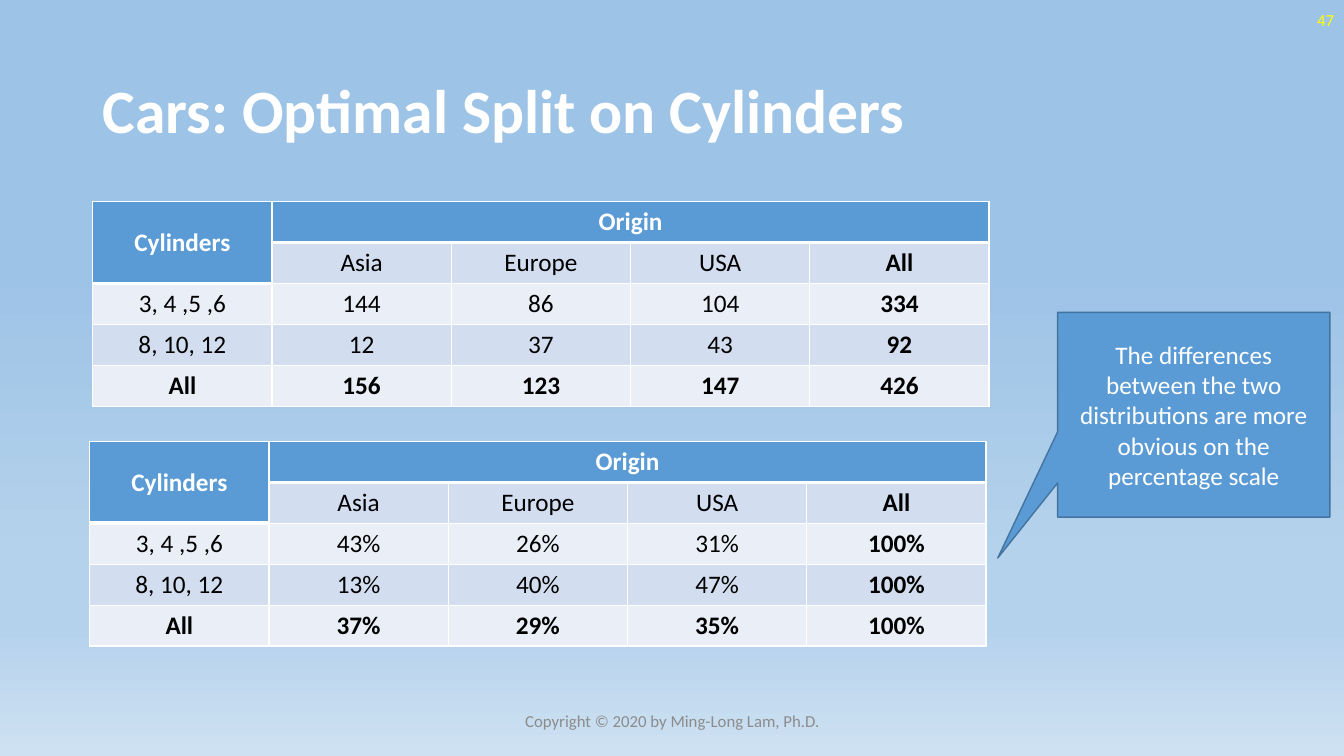
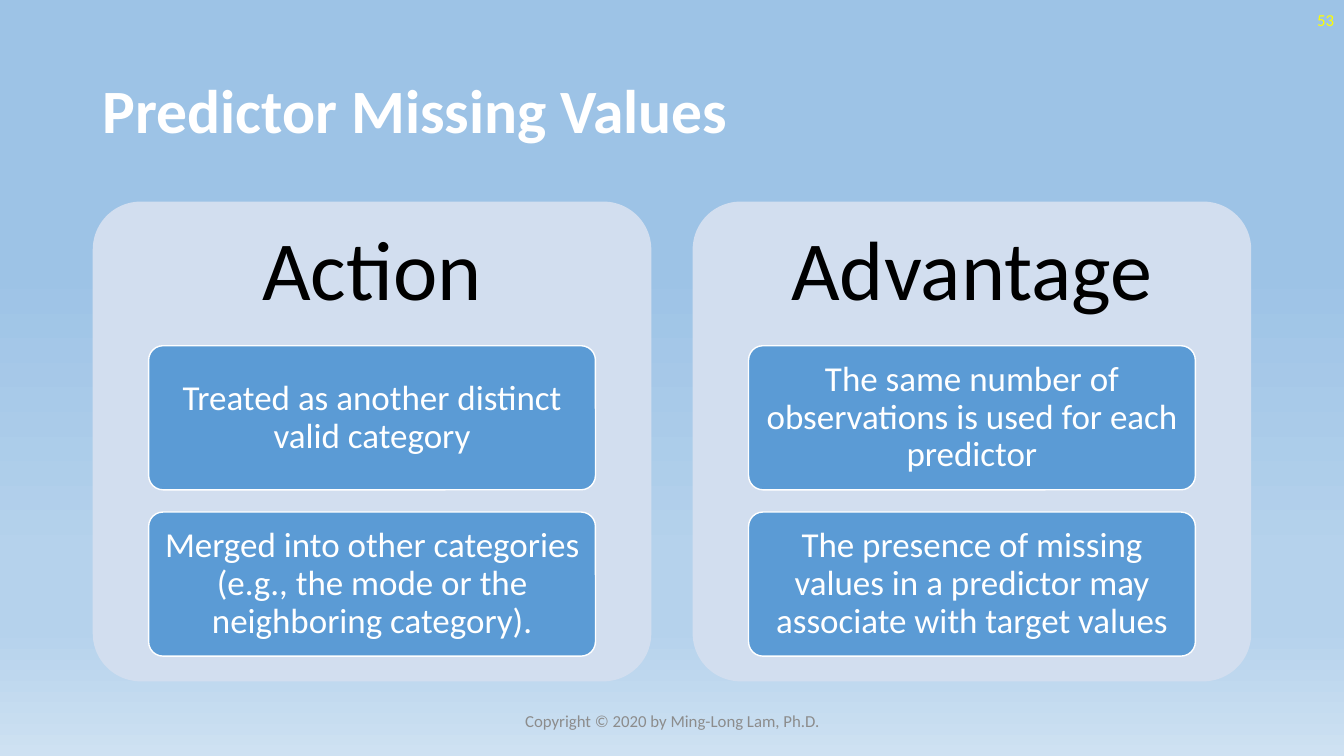
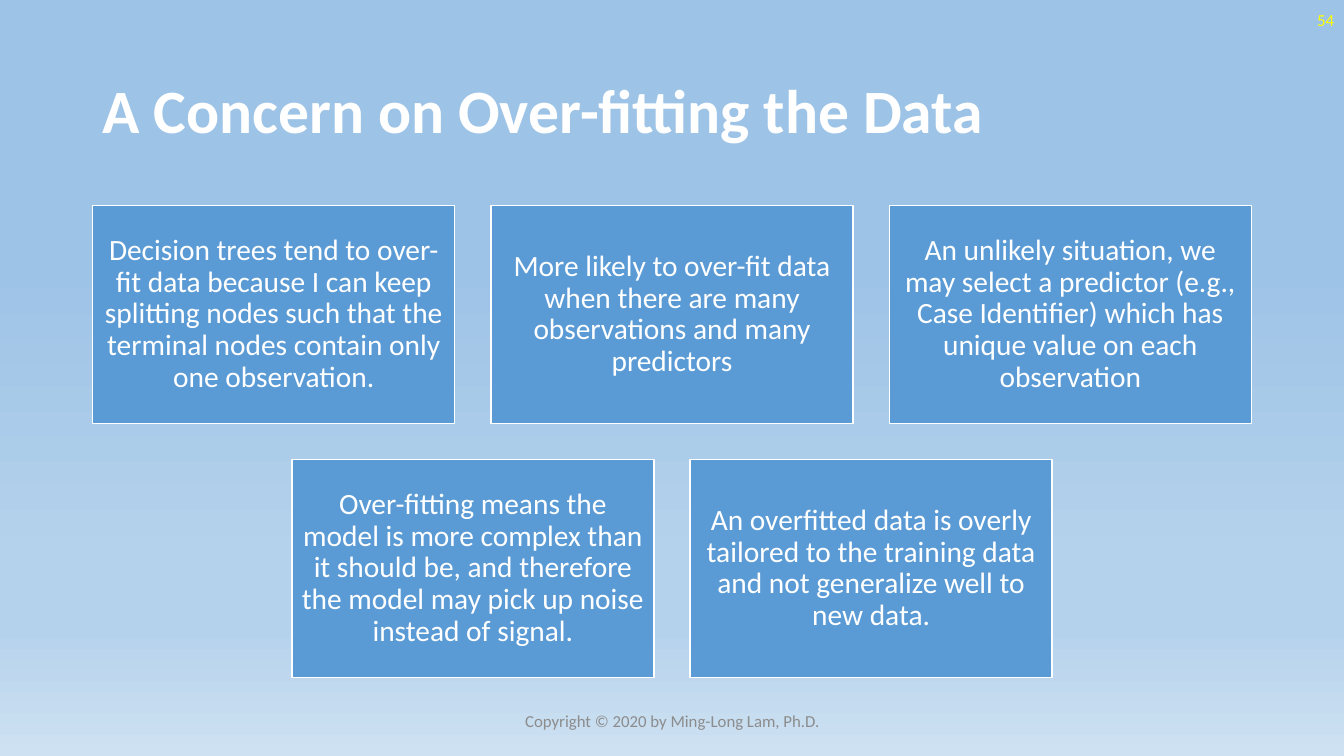
from lxml.etree import SubElement
from pptx import Presentation
from pptx.dml.color import RGBColor
from pptx.enum.shapes import MSO_SHAPE as Preset
from pptx.enum.text import MSO_ANCHOR as Anchor, PP_ALIGN as Align
from pptx.oxml import parse_xml
from pptx.oxml.ns import nsdecls, qn
from pptx.util import Inches, Pt

SLIDE_WIDTH, SLIDE_HEIGHT = 13.33, 7.5
FONT = "Calibri"
WHITE, BLACK, GREY, YELLOW = "FFFFFF", "000000", "8C8C8C", "FFFF00"
BLUE, DARK_BLUE = "5B9BD5", "43739E"
PALE_BLUE, PALEST_BLUE = "D2DEEF", "EAEFF7"
BACKGROUND_STOPS = [(35, "9DC3E6"), (74, "B5D2EC"), (83, "B5D2EC"), (100, "CEE1F2")]
FOOTER = "Copyright © 2020 by Ming-Long Lam, Ph.D."
DEFAULT_INSETS = (0.1, 0.05)
LEFT_MARGIN = 0.92

COUNTS = [
    ("3, 4 ,5 ,6", "144", "86", "104", "334"),
    ("8, 10, 12", "12", "37", "43", "92"),
    ("All", "156", "123", "147", "426"),
]
PERCENTAGES = [
    ("3, 4 ,5 ,6", "43%", "26%", "31%", "100%"),
    ("8, 10, 12", "13%", "40%", "47%", "100%"),
    ("All", "37%", "29%", "35%", "100%"),
]
PANELS = [
    ("Action", [
        "Treated as another distinct valid category",
        "Merged into other categories (e.g., the mode or the neighboring category).",
    ]),
    ("Advantage", [
        "The same number of observations is used for each predictor",
        "The presence of missing values in a predictor may associate with target values",
    ]),
]
CONCERN_ROWS = [
    [
        "Decision trees tend to over-fit data because I can keep splitting nodes "
        "such that the terminal nodes contain only one observation.",
        "More likely to over-fit data when there are many observations and many predictors",
        "An unlikely situation, we may select a predictor (e.g., Case Identifier) "
        "which has unique value on each observation",
    ],
    [
        "Over-fitting means the model is more complex than it should be, and therefore "
        "the model may pick up noise instead of signal.",
        "An overfitted data is overly tailored to the training data "
        "and not generalize well to new data.",
    ],
]


def rgb(color):
    return RGBColor.from_string(color)


def inches(*lengths):
    return [Inches(length) for length in lengths]


def write(frame, text, size, color, bold=False, align=Align.CENTER, spacing=None,
          insets=DEFAULT_INSETS):
    """Fill a text frame with one vertically centred paragraph."""
    frame.word_wrap = True
    frame.vertical_anchor = Anchor.MIDDLE
    frame.margin_left = frame.margin_right = Inches(insets[0])
    frame.margin_top = frame.margin_bottom = Inches(insets[1])
    write_paragraph(frame.paragraphs[0], text, size, color, bold, align, spacing)


def write_paragraph(paragraph, text, size, color, bold, align, spacing=None):
    paragraph.alignment = align
    if spacing:
        paragraph.line_spacing = spacing
    run = paragraph.add_run()
    run.text = text
    run.font.name = FONT
    run.font.size = Pt(size)
    run.font.bold = bold
    run.font.color.rgb = rgb(color)


def add_text(slide, box, text, size, color, **style):
    write(slide.shapes.add_textbox(*inches(*box)).text_frame, text, size, color, **style)


def add_box(slide, preset, box, fill, line=None, adjustments=()):
    shape = slide.shapes.add_shape(preset, *inches(*box))
    shape.shadow.inherit = False
    shape.fill.solid()
    shape.fill.fore_color.rgb = rgb(fill)
    if line:
        shape.line.color.rgb = rgb(line)
        shape.line.width = Pt(1)
    else:
        shape.line.fill.background()
    for index, value in enumerate(adjustments):
        shape.adjustments[index] = value
    return shape


def set_background(master):
    fill = master.background.fill
    fill.gradient()
    fill.gradient_angle = 270
    stops = next(master.element.iter(qn("a:gsLst")))
    for stop in list(stops):
        stops.remove(stop)
    for percent, color in BACKGROUND_STOPS:
        stop = SubElement(stops, qn("a:gs"), pos=str(percent * 1000))
        SubElement(stop, qn("a:srgbClr"), val=color)


def add_slide(presentation, title, number):
    """Add a slide with the shared title, footer and page number."""
    slide = presentation.slides.add_slide(presentation.slide_layouts[6])
    add_text(slide, (LEFT_MARGIN, 0.4, 11.5, 1.45), title, 44, WHITE, bold=True,
             align=Align.LEFT, spacing=0.9)
    add_text(slide, (4.42, 6.95, 4.5, 0.4), FOOTER, 12, GREY)
    add_text(slide, (10.33, 0, 3, 0.4), str(number), 12, YELLOW, align=Align.RIGHT)
    return slide


def set_borders(cell, top, bottom):
    """Draw white borders, with the top and bottom widths in points."""
    properties = cell._tc.get_or_add_tcPr()
    widths = {"lnL": 1, "lnR": 1, "lnT": top, "lnB": bottom}
    for index, (side, width) in enumerate(widths.items()):
        properties.insert(index, parse_xml(
            f'<a:{side} {nsdecls("a")} w="{Pt(width)}"><a:solidFill>'
            f'<a:srgbClr val="{WHITE}"/></a:solidFill></a:{side}>'))


def add_origin_table(slide, left, top, body):
    rows = [("Cylinders", "Origin", "", "", ""), ("", "Asia", "Europe", "USA", "All"), *body]
    row_count, column_count = len(rows), len(rows[0])
    table = slide.shapes.add_table(
        row_count, column_count, *inches(left, top, 8.89, 2.03)).table
    table.first_row = table.horz_banding = False
    for row_index, row in enumerate(rows):
        for column_index, text in enumerate(row):
            cell = table.cell(row_index, column_index)
            header = row_index == 0 or (row_index == 1 and column_index == 0)
            header_end = 1 if column_index == 0 else 0
            total = row_index == row_count - 1 or column_index == column_count - 1
            band = PALE_BLUE if row_index % 2 else PALEST_BLUE
            cell.fill.solid()
            cell.fill.fore_color.rgb = rgb(BLUE if header else band)
            set_borders(cell, top=3 if row_index == header_end + 1 else 1,
                        bottom=3 if row_index == header_end else 1)
            cell.vertical_anchor = Anchor.MIDDLE
            if text:
                write_paragraph(cell.text_frame.paragraphs[0], text, 18,
                                WHITE if header else BLACK, header or total, Align.CENTER)
    table.cell(0, 0).merge(table.cell(1, 0))
    table.cell(0, 1).merge(table.cell(0, column_count - 1))


def add_panel(slide, left, heading, items):
    top, width, item_height, item_gap = 2, 5.54, 1.43, 0.22
    item_width = 0.8 * width
    item_left = left + (width - item_width) / 2
    add_box(slide, Preset.ROUNDED_RECTANGLE, (left, top, width, 4.76), PALE_BLUE,
            adjustments=[0.1])
    add_text(slide, (left, top, width, item_height), heading, 60, BLACK,
             spacing=0.9, insets=(0.25, 0.25))
    for index, text in enumerate(items):
        item_top = top + item_height + index * (item_height + item_gap)
        item = add_box(slide, Preset.ROUNDED_RECTANGLE,
                       (item_left, item_top, item_width, item_height),
                       BLUE, WHITE, [0.1])
        write(item.text_frame, text, 25, WHITE, spacing=0.9, insets=(0.07, 0.05))


def add_card_rows(slide, rows):
    """Stack rows of equal cards, each row centred on the slide."""
    top, width, height, gap = 2.04, 3.59, 2.16, 0.36
    for row_index, texts in enumerate(rows):
        row_width = len(texts) * (width + gap) - gap
        row_left = (SLIDE_WIDTH - row_width) / 2
        for index, text in enumerate(texts):
            box = (row_left + index * (width + gap), top + row_index * (height + gap),
                   width, height)
            card = add_box(slide, Preset.RECTANGLE, box, BLUE, WHITE)
            write(card.text_frame, text, 21, WHITE, spacing=0.9, insets=(0.09, 0.09))


def add_cylinder_slide(presentation):
    slide = add_slide(presentation, "Cars: Optimal Split on Cylinders", 47)
    add_origin_table(slide, LEFT_MARGIN, 2, COUNTS)
    add_origin_table(slide, 0.89, 4.38, PERCENTAGES)
    callout = add_box(slide, Preset.RECTANGULAR_CALLOUT, (10.49, 3.1, 2.7, 2.03),
                      BLUE, DARK_BLUE, [-0.72, 0.7])
    write(callout.text_frame, "The differences between the two distributions are more "
          "obvious on the percentage scale", 18, WHITE)


def add_missing_values_slide(presentation):
    slide = add_slide(presentation, "Predictor Missing Values", 53)
    for index, (heading, items) in enumerate(PANELS):
        add_panel(slide, LEFT_MARGIN + index * 5.95, heading, items)


def add_overfitting_slide(presentation):
    slide = add_slide(presentation, "A Concern on Over-fitting the Data", 54)
    add_card_rows(slide, CONCERN_ROWS)


def main():
    presentation = Presentation()
    presentation.slide_width, presentation.slide_height = inches(SLIDE_WIDTH, SLIDE_HEIGHT)
    set_background(presentation.slide_master)
    add_cylinder_slide(presentation)
    add_missing_values_slide(presentation)
    add_overfitting_slide(presentation)
    presentation.save("out.pptx")


if __name__ == "__main__":
    main()
